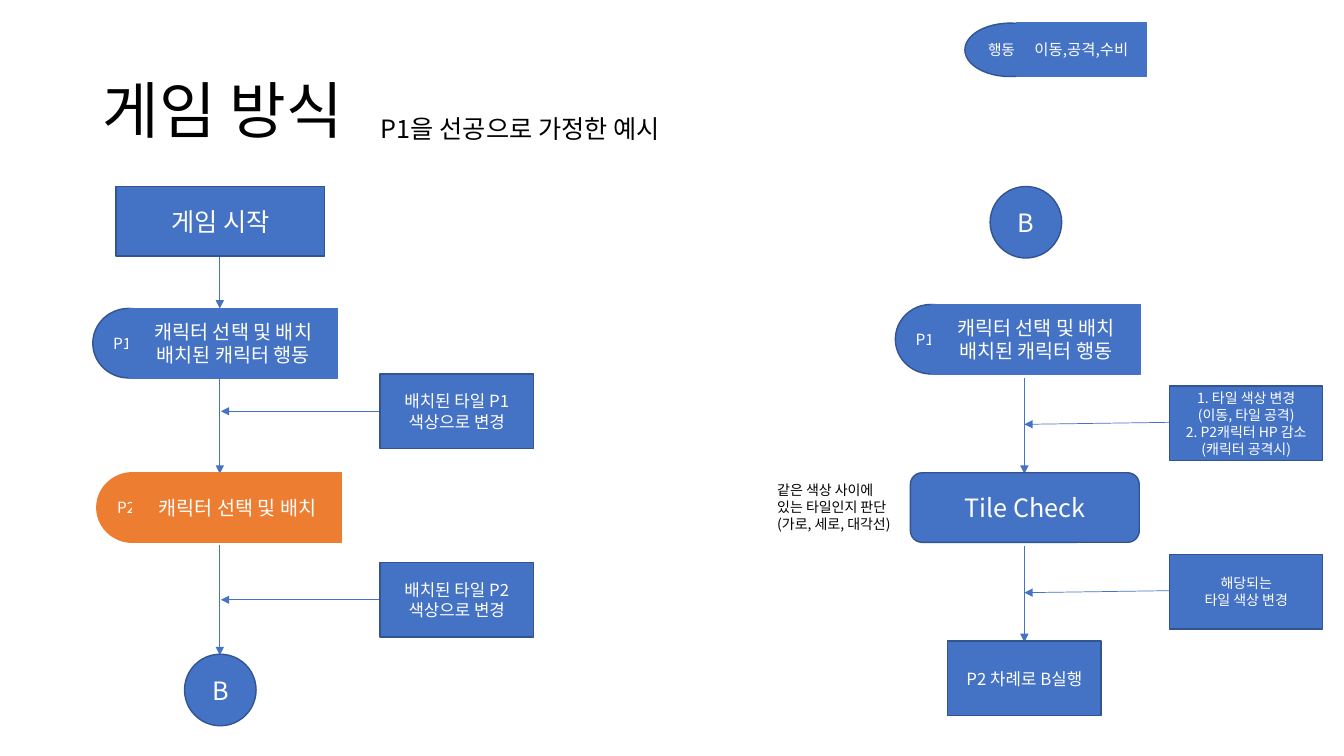
from lxml import etree
from pptx import Presentation
from pptx.dml.color import RGBColor
from pptx.enum.shapes import MSO_CONNECTOR, MSO_SHAPE
from pptx.enum.text import MSO_ANCHOR, PP_ALIGN
from pptx.oxml.ns import qn
from pptx.util import Inches, Pt

RECT, OVAL, ROUND = MSO_SHAPE.RECTANGLE, MSO_SHAPE.OVAL, MSO_SHAPE.ROUNDED_RECTANGLE
LINE = MSO_CONNECTOR.STRAIGHT
TOP, MID = MSO_ANCHOR.TOP, MSO_ANCHOR.MIDDLE
LEFT, CENTER = PP_ALIGN.LEFT, PP_ALIGN.CENTER
FACE = "Noto Sans CJK KR"
BLUE, EDGE, ORANGE = "4472C4", "325491", "ED7D31"
WHITE, BLACK = "FFFFFF", "000000"
STEP_W, STEP_H = 2.07, 0.69
NOTE_W, NOTE_H = 1.52, 0.74
DISC = 0.71
PICK = "캐릭터 선택 및 배치"
ACT = PICK + "\n배치된 캐릭터 행동"


def color(code):
    """Turn a hex string into a colour."""
    return RGBColor.from_string(code)


def apply(target, values):
    """Set each attribute named in a dict."""
    for key, value in values.items():
        setattr(target, key, value)


def write(shape, text, size, ink=WHITE, align=CENTER, anchor=MID, lead=None):
    """Fill a shape with text, one paragraph a line."""
    frame = shape.text_frame
    frame.text = text
    apply(frame, {"word_wrap": True, "vertical_anchor": anchor})
    for para in frame.paragraphs:
        apply(para, {"alignment": align, "line_spacing": lead})
        for run in para.runs:
            apply(run.font, {"name": FACE, "size": Pt(size)})
            run.font.color.rgb = color(ink)
            east = etree.SubElement(run.font._element, qn("a:ea"))
            east.set("typeface", FACE)


def block(shapes, kind, box, text, size, fill=BLUE, edge=EDGE, align=CENTER):
    """Add a filled shape with text."""
    shape = shapes.add_shape(kind, *map(Inches, box))
    shape.shadow.inherit = False
    shape.fill.solid()
    shape.fill.fore_color.rgb = color(fill)
    shape.line.color.rgb = color(edge)
    shape.line.width = Pt(1)
    write(shape, text, size, align=align)


def label(shapes, box, text, size, **style):
    """Add a plain black text box."""
    area = shapes.add_textbox(*map(Inches, box))
    write(area, text, size, BLACK, LEFT, **style)


def arrow(shapes, start, end):
    """Add a thin line with an arrowhead at its end."""
    link = shapes.add_connector(LINE, *map(Inches, (*start, *end)))
    link.line.color.rgb = color(BLUE)
    link.line.width = Pt(0.5)
    head = etree.SubElement(link.line._get_or_add_ln(), qn("a:tailEnd"))
    head.set("type", "triangle")
    etree.SubElement(link._element.spPr, qn("a:effectLst"))


def tag(shapes, box, name, text, sizes=(11, 14), oval=DISC, shift=0.36,
        fill=BLUE, edge=EDGE):
    """Group a round name tab with the step that covers its right half."""
    x, y, w, h = box
    parts = shapes.add_group_shape().shapes
    block(parts, OVAL, (x, y, oval, h), name, sizes[0], fill, edge, LEFT)
    block(parts, RECT, (x + shift, y, w, h), text, sizes[1], fill, fill)


def note(shapes, x, y, axis, text, size, tilt=0):
    """Add a side note with an arrow to the flow axis."""
    mid = y + NOTE_H / 2
    arrow(shapes, (x, mid - tilt / 2), (axis, mid + tilt / 2))
    block(shapes, RECT, (x, y, NOTE_W, NOTE_H), text, size)


def header(shapes, x, y):
    """Place the title, its remark and the action key."""
    label(shapes, (x, y, 11.5, 1.45), "게임 방식", 44, anchor=MID, lead=0.9)
    label(shapes, (x + 2.76, y + 0.68, 4.66, 0.4), "P1을 선공으로 가정한 예시",
          18, anchor=TOP)
    tag(shapes, (x + 8.65, y - 0.17, 1.29, 0.53), "행동", "이동,공격,수비",
        (10.5, 11), 0.9, 0.51)


def opening(shapes, axis, y):
    """Place the first turn, from game start to B."""
    for top, end in ((0.69, 1.21), (1.9, 2.85), (3.56, 4.65)):
        arrow(shapes, (axis, y + top), (axis, y + end))
    block(shapes, RECT, (axis - 1.03, y, STEP_W, STEP_H), "게임 시작", 18)
    tag(shapes, (axis - 1.26, y + 1.21, STEP_W, STEP_H), "P1", ACT)
    tag(shapes, (axis - 1.22, y + 2.84, STEP_W, STEP_H), "P2", PICK,
        fill=ORANGE, edge=ORANGE)
    for name, top in (("P1", 1.86), ("P2", 3.73)):
        note(shapes, axis + 1.59, y + top, axis + 0.01,
             f"배치된 타일 {name}\n색상으로 변경", 12)
    block(shapes, OVAL, (axis - 0.35, y + 4.64, DISC, DISC), "B", 18)


def round_b(shapes, axis, y):
    """Place the repeated turn, from B to the other player."""
    for top in (1.9, 3.57):
        arrow(shapes, (axis, y + top), (axis, y + top + 0.95))
    block(shapes, OVAL, (axis - 0.34, y, DISC, DISC), "B", 18)
    tag(shapes, (axis - 1.28, y + 1.17, STEP_W, STEP_H), "P1", ACT)
    block(shapes, ROUND, (axis - 1.13, y + 2.84, 2.27, STEP_H), "Tile Check", 18)
    label(shapes, (axis - 2.55, y + 2.88, 1.42, 0.61),
          "같은 색상 사이에 있는 타일인지 판단\n(가로, 세로, 대각선)", 10, anchor=TOP)
    effects = ("1. 타일 색상 변경\n(이동, 타일 공격)\n"
               "2. P2캐릭터 HP 감소\n(캐릭터 공격시)")
    for text, top in ((effects, 1.98), ("해당되는\n타일 색상 변경", 3.65)):
        note(shapes, axis + 1.44, y + top, axis, text, 10, 0.02)
    block(shapes, RECT, (axis - 0.76, y + 4.51, NOTE_W, NOTE_H),
          "P2 차례로 B실행", 12)


def main():
    """Build and save the slide."""
    deck = Presentation()
    apply(deck, {"slide_width": Inches(13.33), "slide_height": Inches(7.5)})
    shapes = deck.slides.add_slide(deck.slide_layouts[6]).shapes
    header(shapes, 0.92, 0.4)
    opening(shapes, 2.18, 1.85)
    round_b(shapes, 10.16, 1.85)
    deck.save("out.pptx")


main()
